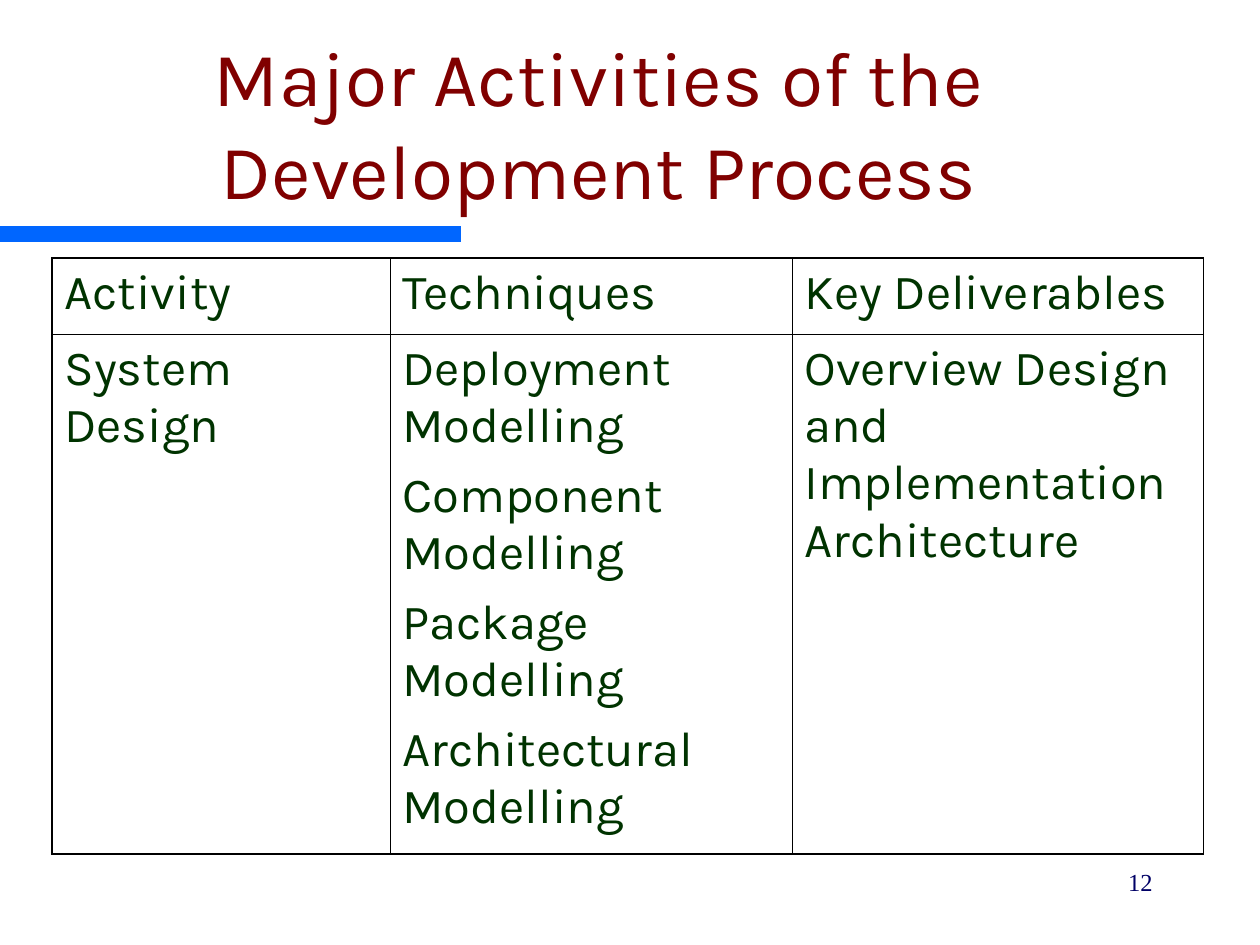
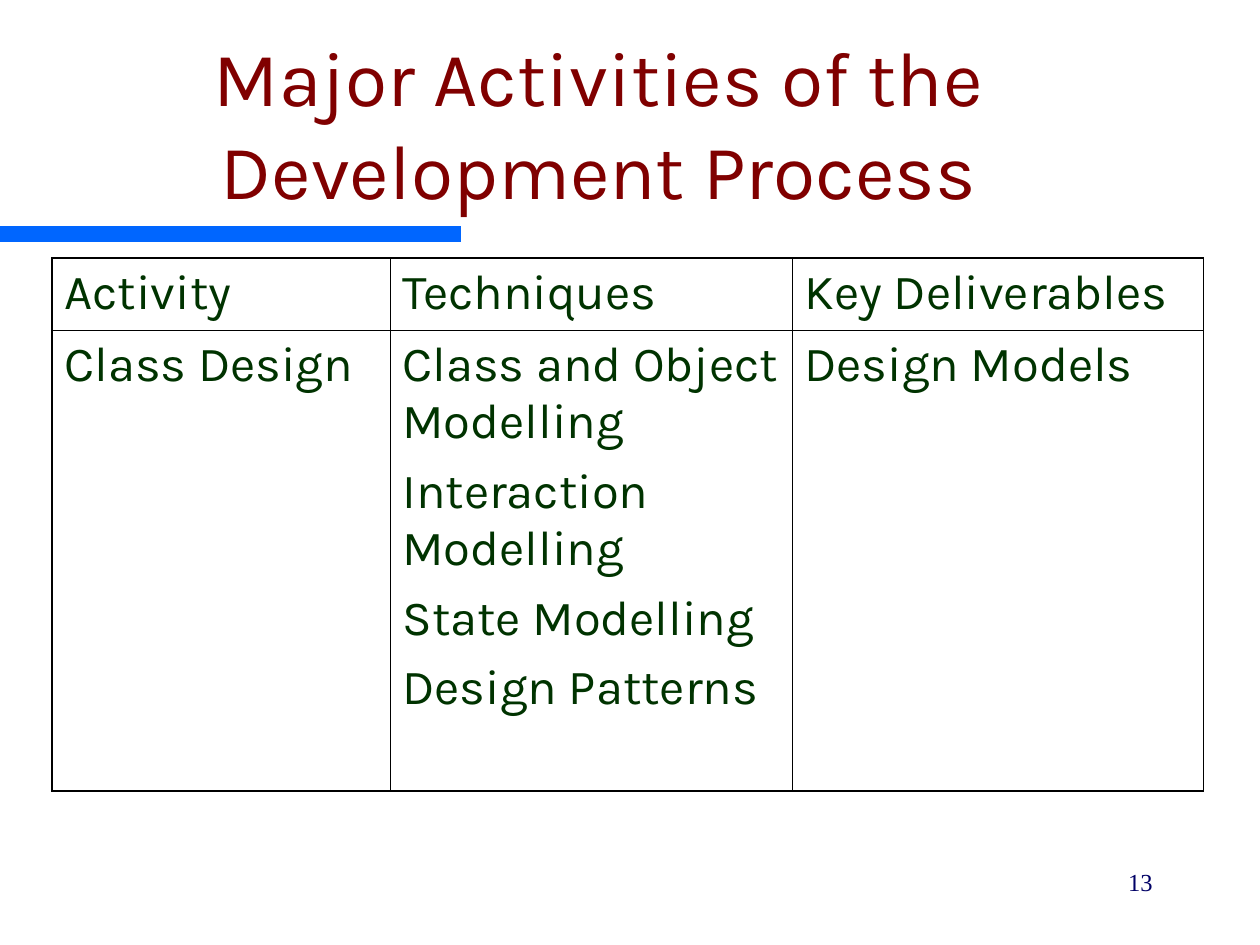
from lxml.etree import SubElement
from pptx import Presentation
from pptx.dml.color import RGBColor
from pptx.enum.shapes import MSO_SHAPE
from pptx.enum.text import MSO_ANCHOR, MSO_AUTO_SIZE, PP_ALIGN
from pptx.oxml.ns import qn
from pptx.util import Emu, Pt

# Content
TITLE = "Major Activities of the Development Process"
HEADINGS = ["Activity", "Techniques", "Key Deliverables"]
SLIDES = [
    {
        "number": 12,
        "row_heights": [76, 520],
        "body": [
            ["System Design"],
            ["Deployment Modelling", "Component Modelling",
             "Package Modelling", "Architectural Modelling"],
            ["Overview Design and Implementation Architecture"],
        ],
    },
    {
        "number": 13,
        "row_heights": [72, 461],
        "body": [
            ["Class Design"],
            ["Class and Object Modelling", "Interaction Modelling",
             "State Modelling", "Design Patterns"],
            ["Design Models"],
        ],
    },
]

# Shared look: lengths in px, 126 px to the inch
PX_PER_INCH = 126
SLIDE_SIZE = (1260, 945)
BAND_BOX = (0, 226, 461, 16)
TITLE_BOX = (32, 63, 1134, 158)
NUMBER_BOX = (903, 861, 262, 63)
TABLE_ORIGIN = (52, 258)
COLUMN_WIDTHS = [338, 402, 412]
BAND_COLOR = "0066FF"
BORDER_COLOR = "000000"
OUTER_LINE, INNER_LINE = 0.75, 0.45

TITLE_FONT = {"name": "Karla", "size": Pt(44), "bold": False, "color": "800000"}
CELL_FONT = {"name": "Karla", "size": Pt(28), "bold": False, "color": "003300"}
NUMBER_FONT = {"name": "Times New Roman", "size": Pt(14), "color": "000066"}
TITLE_PARAGRAPH = {"alignment": PP_ALIGN.CENTER, "space_before": Pt(0)}
CELL_PARAGRAPH = {"alignment": PP_ALIGN.LEFT, "space_before": Pt(7)}
NUMBER_PARAGRAPH = {"alignment": PP_ALIGN.RIGHT, "space_before": Pt(8.8)}


def px(length):
    return Emu(round(length * 914400 / PX_PER_INCH))


def color(hex_value):
    return RGBColor.from_string(hex_value)


def set_attributes(target, values):
    for name, value in values.items():
        setattr(target, name, value)


def write_text(text_frame, lines, font_format, paragraph_format):
    text_frame.word_wrap = True
    for index, line in enumerate(lines):
        paragraph = text_frame.add_paragraph() if index else text_frame.paragraphs[0]
        set_attributes(paragraph, paragraph_format)
        run = paragraph.add_run()
        run.text = line
        for name, value in font_format.items():
            if name == "color":
                run.font.color.rgb = color(value)
            else:
                setattr(run.font, name, value)


def add_band(slide):
    band = slide.shapes.add_shape(MSO_SHAPE.RECTANGLE, *map(px, BAND_BOX))
    band.shadow.inherit = False
    band.fill.solid()
    band.fill.fore_color.rgb = color(BAND_COLOR)
    band.line.fill.background()


def format_title(slide):
    title = slide.shapes.title
    set_attributes(title, dict(zip(("left", "top", "width", "height"), map(px, TITLE_BOX))))
    write_text(title.text_frame, [TITLE], TITLE_FONT, TITLE_PARAGRAPH)
    title.text_frame.auto_size = MSO_AUTO_SIZE.NONE
    title.text_frame.vertical_anchor = MSO_ANCHOR.BOTTOM


def set_borders(cell, outer_edges):
    properties = cell._tc.get_or_add_tcPr()
    for side, is_outer in outer_edges.items():
        width = Pt(OUTER_LINE if is_outer else INNER_LINE)
        line = SubElement(properties, qn(f"a:ln{side}"), w=str(width))
        fill = SubElement(line, qn("a:solidFill"))
        SubElement(fill, qn("a:srgbClr"), val=BORDER_COLOR)


def add_activity_table(slide, body, row_heights):
    rows = [[[heading] for heading in HEADINGS], body]
    last_row, last_column = len(rows) - 1, len(HEADINGS) - 1
    frame = slide.shapes.add_table(
        len(rows), len(HEADINGS), *map(px, TABLE_ORIGIN),
        px(sum(COLUMN_WIDTHS)), px(sum(row_heights)))
    table = frame.table
    set_attributes(table, {"first_row": False, "horz_banding": False})
    for column, width in zip(table.columns, COLUMN_WIDTHS):
        column.width = px(width)
    for row_index, (row, height) in enumerate(zip(rows, row_heights)):
        table.rows[row_index].height = px(height)
        for column_index, lines in enumerate(row):
            cell = table.cell(row_index, column_index)
            set_borders(cell, {"L": column_index == 0, "R": column_index == last_column,
                               "T": row_index == 0, "B": row_index == last_row})
            cell.fill.background()
            write_text(cell.text_frame, lines, CELL_FONT, CELL_PARAGRAPH)


def add_page_number(slide, number):
    box = slide.shapes.add_textbox(*map(px, NUMBER_BOX))
    write_text(box.text_frame, [str(number)], NUMBER_FONT, NUMBER_PARAGRAPH)


def main():
    presentation = Presentation()
    presentation.slide_width, presentation.slide_height = map(px, SLIDE_SIZE)
    title_only = presentation.slide_layouts.get_by_name("Title Only")
    for content in SLIDES:
        slide = presentation.slides.add_slide(title_only)
        add_band(slide)
        format_title(slide)
        add_activity_table(slide, content["body"], content["row_heights"])
        add_page_number(slide, content["number"])
    presentation.save("out.pptx")


if __name__ == "__main__":
    main()
